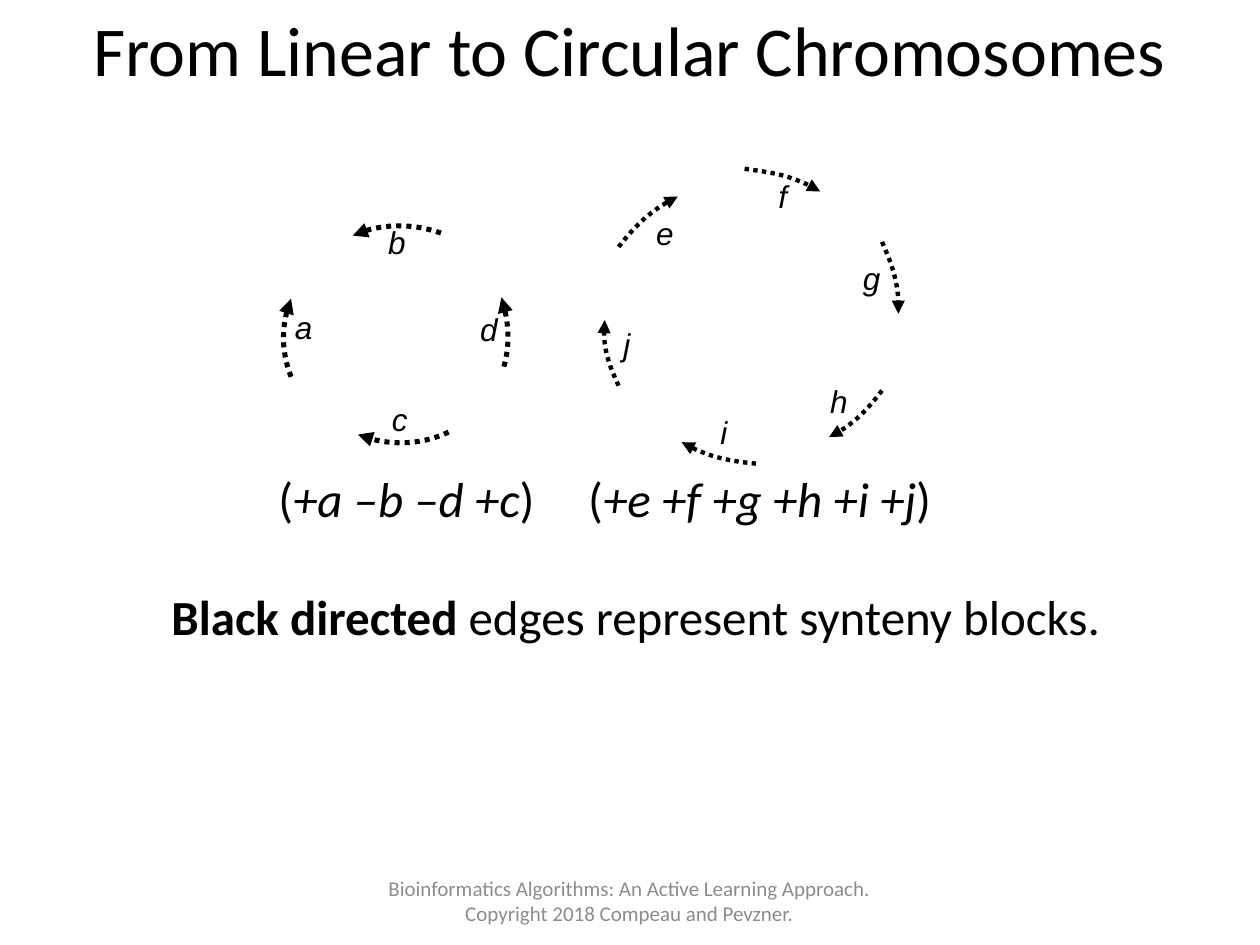
"""Build a slide showing two circular chromosomes made of directed synteny blocks."""
from lxml.etree import SubElement
from pptx import Presentation
from pptx.dml.color import RGBColor
from pptx.enum.dml import MSO_LINE
from pptx.enum.text import MSO_ANCHOR, PP_ALIGN
from pptx.oxml.ns import qn
from pptx.util import Inches, Pt

COLORS = {"ink": "000000", "footer": "8C8C8C"}
TITLE = "From Linear to Circular Chromosomes"
FORMULA = [("\t(", ""), ("+a –b –d +c", "i"), (")\t(", ""),
           ("+e +f +g +h +i +j", "i"), (")", "")]
FORMULA_TABS = (1.94, 4.4)
CAPTION = [("Black directed", "b"), (" edges represent synteny blocks.", "")]
FOOTER = ("Bioinformatics Algorithms: An Active Learning Approach. "
          "Copyright 2018 Compeau and Pevzner.")

# Each block: name, label frame, and curve as start, two controls, end.
LEFT_BLOCKS = [
    ("a", (2.34, 2.54, 0.26, 0.48), [(2.31, 2.99), (2.23, 2.78), (2.23, 2.58), (2.31, 2.37)]),
    ("b", (3.08, 1.87, 0.22, 0.42), [(3.5, 1.85), (3.27, 1.77), (3.02, 1.77), (2.8, 1.87)]),
    ("c", (3.11, 3.27, 0.13, 0.36), [(3.56, 3.43), (3.33, 3.54), (3.07, 3.54), (2.84, 3.45)]),
    ("d", (3.81, 2.56, 0.15, 0.31), [(4, 2.91), (4.05, 2.73), (4.04, 2.55), (3.98, 2.36)]),
]
RIGHT_BLOCKS = [
    ("e", (5.11, 1.65, 0.33, 0.4), [(4.91, 1.96), (5.06, 1.77), (5.18, 1.66), (5.38, 1.56)]),
    ("f", (6.08, 1.36, 0.28, 0.4), [(5.91, 1.34), (6.15, 1.37), (6.31, 1.4), (6.51, 1.52)]),
    ("g", (6.75, 2.01, 0.33, 0.4), [(7, 1.92), (7.09, 2.12), (7.14, 2.28), (7.13, 2.49)]),
    ("h", (6.49, 2.98, 0.34, 0.4), [(7, 3.1), (6.87, 3.27), (6.76, 3.38), (6.58, 3.47)]),
    ("i", (5.62, 3.23, 0.26, 0.4), [(6, 3.68), (5.77, 3.66), (5.6, 3.62), (5.41, 3.51)]),
    ("j", (4.85, 2.53, 0.26, 0.4), [(4.91, 3.06), (4.82, 2.87), (4.78, 2.74), (4.8, 2.54)]),
]
CURVE_STEPS = 15


def place(shape, frame):
    shape.left, shape.top, shape.width, shape.height = map(Inches, frame)


def write(shape, paragraphs, size, font="Calibri", color="ink", align=PP_ALIGN.LEFT,
          anchor=MSO_ANCHOR.TOP, wrap=True, flush=False, spacing=None):
    frame = shape.text_frame
    frame.word_wrap, frame.vertical_anchor = wrap, anchor
    if flush:
        frame.margin_left = frame.margin_right = frame.margin_top = frame.margin_bottom = 0
    for index, spans in enumerate(paragraphs):
        para = frame.add_paragraph() if index else frame.paragraphs[0]
        para.alignment, para.line_spacing = align, spacing
        for text, style in spans:
            span = para.add_run()
            span.text = text
            span.font.name, span.font.size = font, Pt(size)
            span.font.bold, span.font.italic = "b" in style, "i" in style
            span.font.color.rgb = RGBColor.from_string(COLORS[color])
    return frame.paragraphs


def add_text(slide, frame, paragraphs, size, **style):
    box = slide.shapes.add_textbox(*map(Inches, frame))
    return write(box, paragraphs, size, **style)


def curve_point(controls, share):
    rest = 1 - share
    weights = (rest ** 3, 3 * rest ** 2 * share, 3 * rest * share ** 2, share ** 3)
    return tuple(Inches(sum(weight * point[axis] for weight, point in zip(weights, controls)))
                 for axis in (0, 1))


def add_edge(slide, controls, width):
    points = [curve_point(controls, step / CURVE_STEPS) for step in range(CURVE_STEPS + 1)]
    builder = slide.shapes.build_freeform(*points[0])
    builder.add_line_segments(points[1:], close=False)
    edge = builder.convert_to_shape()
    edge.shadow.inherit = False
    edge.fill.background()
    edge.line.color.rgb = RGBColor.from_string(COLORS["ink"])
    edge.line.width = Pt(width)
    edge.line.dash_style = MSO_LINE.ROUND_DOT
    SubElement(edge.line._get_or_add_ln(), qn("a:tailEnd"), type="triangle")


def add_chromosome(slide, blocks, width, **label_style):
    for name, frame, controls in blocks:
        add_edge(slide, controls, width)
        add_text(slide, frame, [[(name, "i")]], 18, font="Arial", wrap=False, **label_style)


def main():
    deck = Presentation()
    deck.slide_width, deck.slide_height = Inches(10), Inches(7.5)
    slide = deck.slides.add_slide(deck.slide_layouts[5])
    place(slide.shapes.title, (0.58, 0, 8.83, 1.05))
    write(slide.shapes.title, [[(TITLE, "")]], 40, align=PP_ALIGN.CENTER)

    add_chromosome(slide, LEFT_BLOCKS, 2.89, flush=True, spacing=0.63)
    add_chromosome(slide, RIGHT_BLOCKS, 2.5)

    formula, caption = add_text(slide, (0.17, 3.67, 9.75, 1.99), [FORMULA, CAPTION], 28)
    tabs = SubElement(formula._p.get_or_add_pPr(), qn("a:tabLst"))
    for position in FORMULA_TABS:
        SubElement(tabs, qn("a:tab"), pos=str(Inches(position)), algn="l")
    caption.alignment, caption.space_before = PP_ALIGN.CENTER, Pt(34)

    add_text(slide, (2.83, 6.95, 4.33, 0.4), [[(FOOTER, "")]], 12, color="footer",
             align=PP_ALIGN.CENTER, anchor=MSO_ANCHOR.MIDDLE)
    deck.save("out.pptx")


if __name__ == "__main__":
    main()
